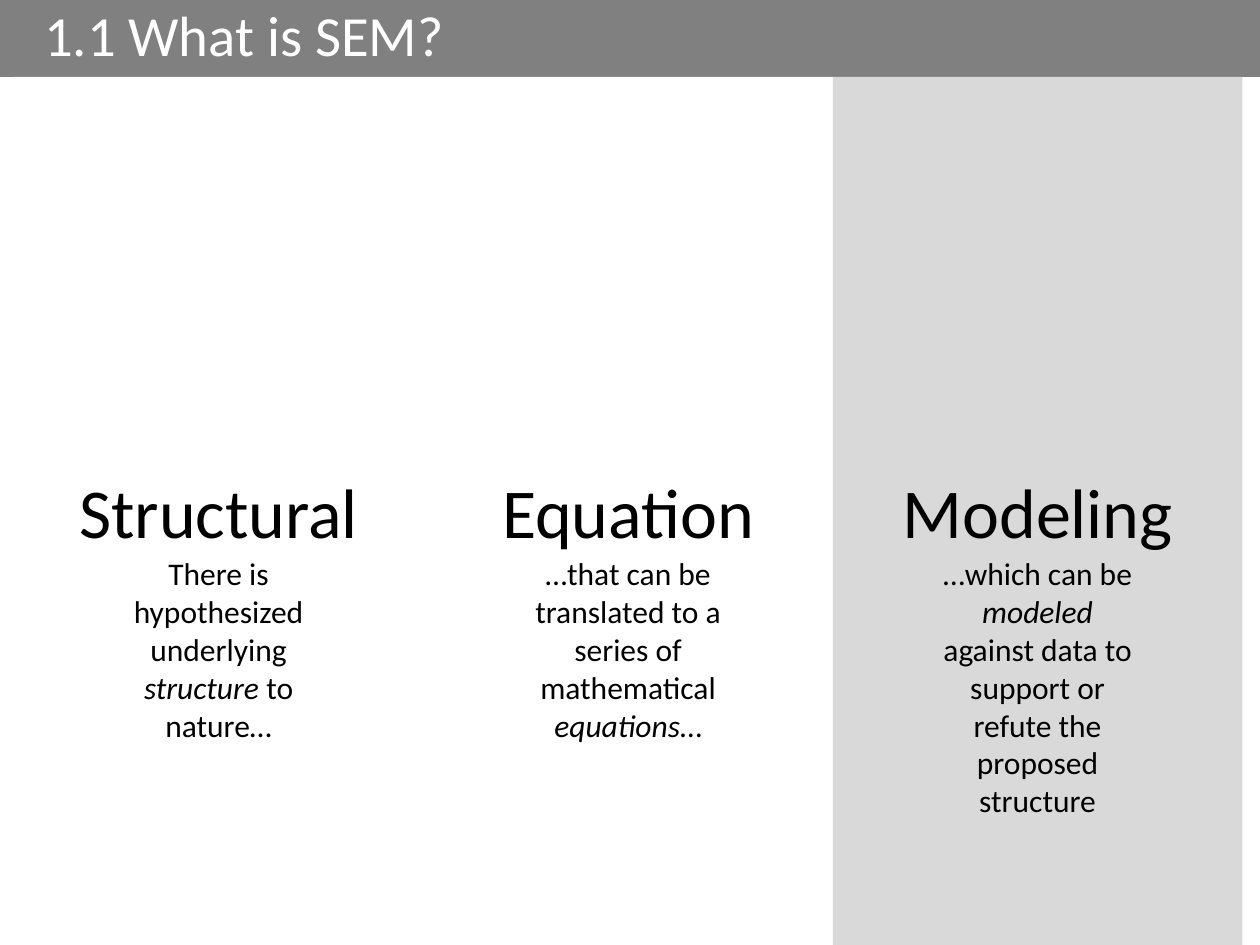
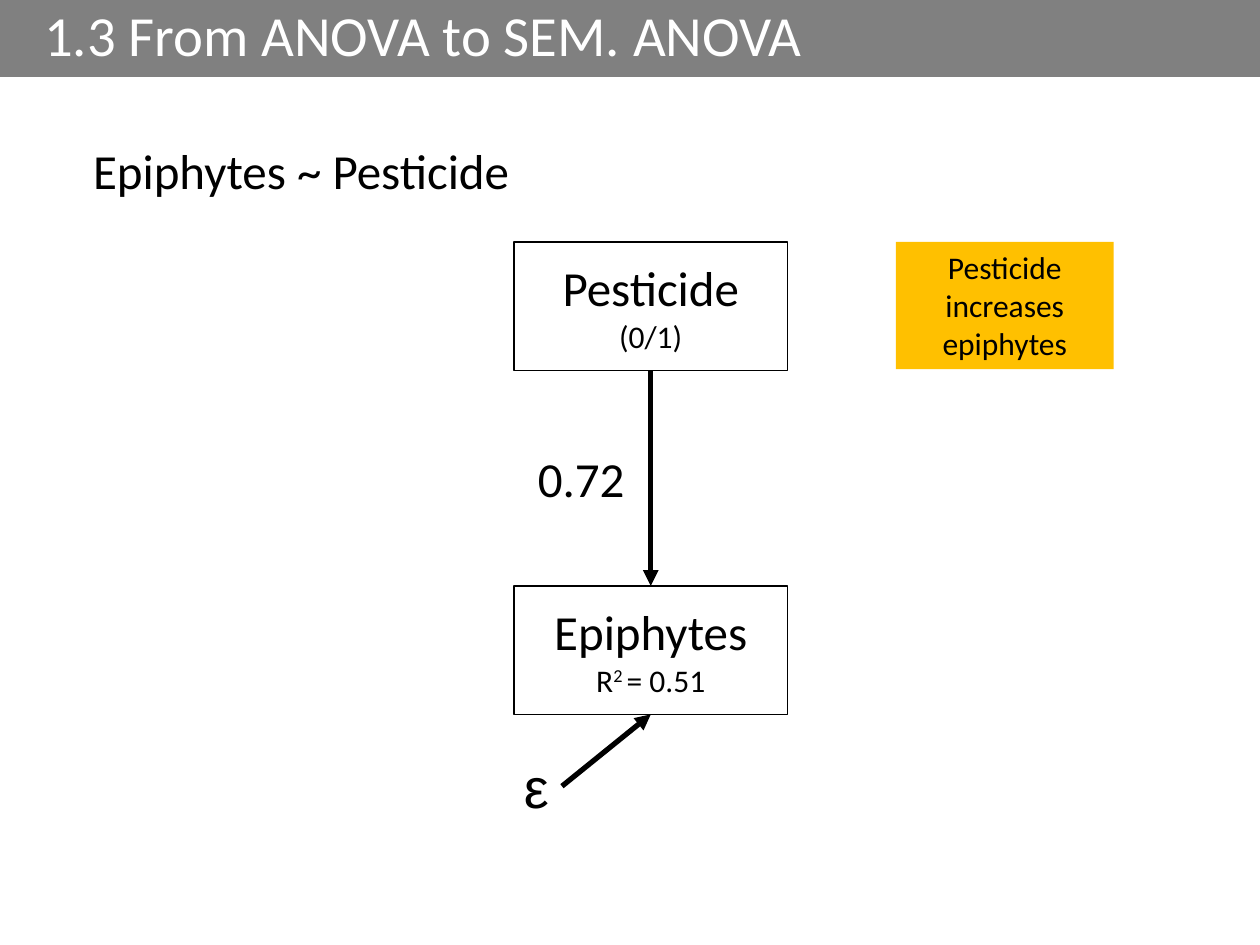
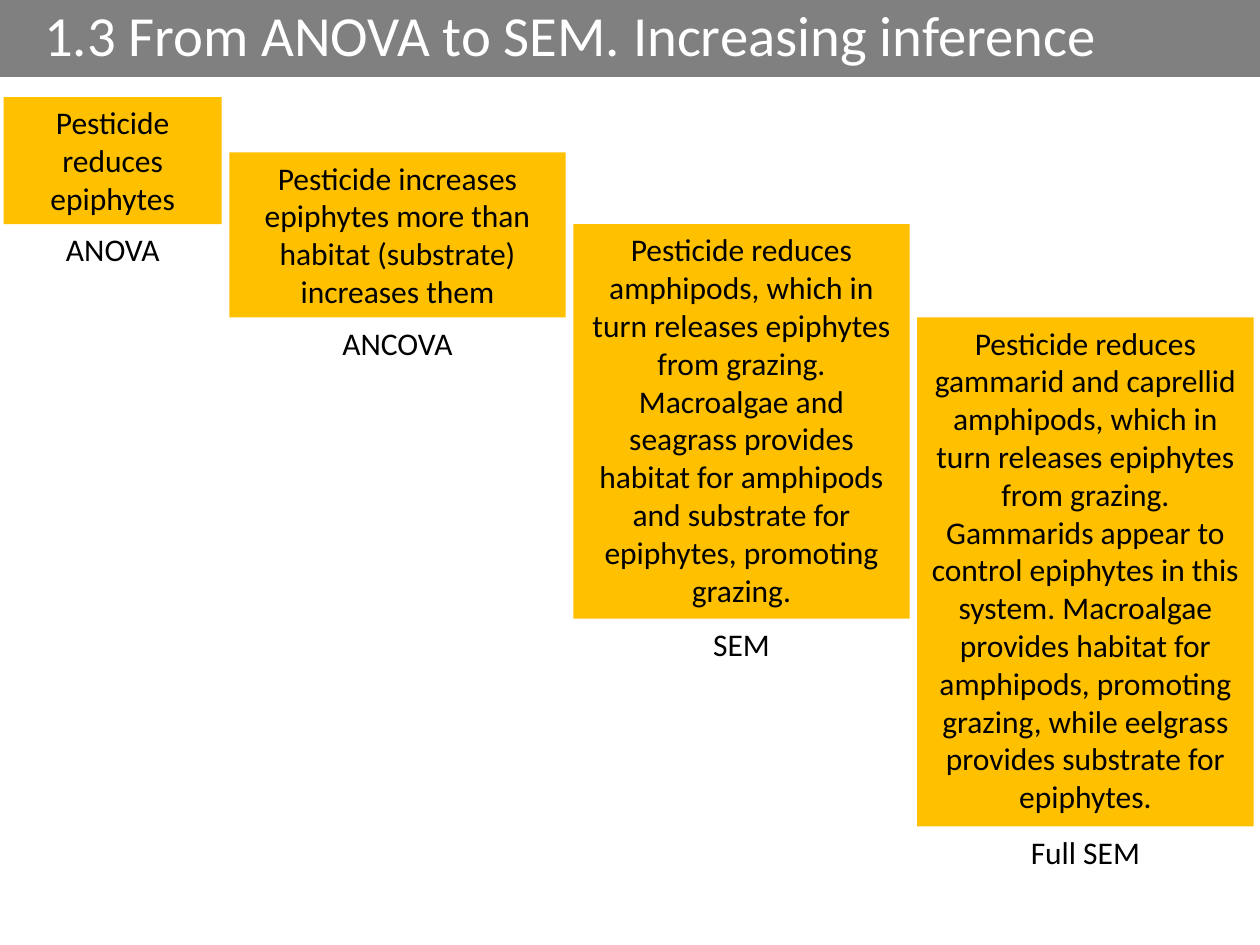
from pptx import Presentation
from pptx.dml.color import RGBColor
from pptx.enum.shapes import MSO_CONNECTOR as Connector, MSO_SHAPE as Shape
from pptx.enum.text import MSO_ANCHOR as Anchor, MSO_AUTO_SIZE as AutoSize, PP_ALIGN as Align
from pptx.oxml.ns import qn
from pptx.util import Inches, Pt
from lxml.etree import SubElement

BLACK = RGBColor(0x00, 0x00, 0x00)
WHITE = RGBColor(0xFF, 0xFF, 0xFF)
BAND_GREY = RGBColor(0x80, 0x80, 0x80)
PANEL_GREY = RGBColor(0xD9, 0xD9, 0xD9)
AMBER = RGBColor(0xFF, 0xC0, 0x00)

FONT = "Calibri"
SLIDE_W, SLIDE_H = 10, 7.5
BAND_H = 0.61
TITLE_ONLY = 5
TOP, BOTTOM, RIGHT = 0, 2, 3


# Shared parts
def style(font, size, color=BLACK, name=FONT):
    font.size, font.name = Pt(size), name
    font.color.rgb = color


def titled_slide(prs, heading):
    slide = prs.slides.add_slide(prs.slide_layouts[TITLE_ONLY])
    title = slide.shapes.title
    title.left, title.top = Inches(0), Inches(0)
    title.width, title.height = Inches(SLIDE_W), Inches(BAND_H)
    title.fill.solid()
    title.fill.fore_color.rgb = BAND_GREY
    frame = title.text_frame
    frame.text = heading
    frame.auto_size = AutoSize.NONE
    frame.vertical_anchor = Anchor.MIDDLE
    line = frame.paragraphs[0]
    line.alignment, line.line_spacing = Align.LEFT, 0.9
    line._p.get_or_add_pPr().set("marL", str(Inches(0.25)))
    style(line.runs[0].font, 32.4, WHITE)
    return slide


def fill_paragraph(paragraph, pieces, size, align=Align.CENTER, name=FONT):
    """Write (text, mark) pieces; mark is '', 'italic' or 'super'."""
    paragraph.alignment = align
    for text, mark in pieces:
        run = paragraph.add_run()
        run.text = text
        style(run.font, size, name=name)
        if mark == "italic":
            run.font.italic = True
        elif mark == "super":
            run._r.get_or_add_rPr().set("baseline", "30000")


def add_rect(slide, box, fill, outline=None, anchor=Anchor.MIDDLE):
    rect = slide.shapes.add_shape(Shape.RECTANGLE, *map(Inches, box))
    rect.shadow.inherit = False
    rect.fill.solid()
    rect.fill.fore_color.rgb = fill
    if outline is None:
        rect.line.fill.background()
    else:
        rect.line.color.rgb, rect.line.width = outline, Pt(1)
    rect.text_frame.word_wrap = True
    rect.text_frame.vertical_anchor = anchor
    return rect


def add_label(slide, box, pieces, size, align=Align.LEFT, wrap=False, name=FONT):
    label = slide.shapes.add_textbox(*map(Inches, box))
    label.text_frame.word_wrap = wrap
    fill_paragraph(label.text_frame.paragraphs[0], pieces, size, align, name)
    return label


def add_finding(slide, box, finding):
    note = add_rect(slide, box, AMBER, anchor=Anchor.TOP)
    fill_paragraph(note.text_frame.paragraphs[0], [(finding, "")], 18)


def add_arrow(slide, source, source_side, target, target_side):
    arrow = slide.shapes.add_connector(Connector.STRAIGHT, 0, 0, 0, 0)
    arrow.begin_connect(source, source_side)
    arrow.end_connect(target, target_side)
    arrow.line.color.rgb, arrow.line.width = BLACK, Pt(3)
    SubElement(arrow.line._get_or_add_ln(), qn("a:tailEnd"), type="triangle")
    SubElement(arrow._element.spPr, qn("a:effectLst"))


# Slide 1: one column per word of the acronym
def add_column(slide, box, word, fill):
    column = add_rect(slide, box, fill)
    fill_paragraph(column.text_frame.paragraphs[0], [(word, "")], 40)


def add_meaning(slide, box, meaning, height):
    left, top, width, _ = box
    text_w = 1.85
    text_box = (left + (width - text_w) / 2, top + 3.74, text_w, height)
    add_label(slide, text_box, meaning, 18, Align.CENTER, wrap=True)


def build_definition(prs):
    slide = titled_slide(prs, "1.1 What is SEM?")
    columns = [
        ("Structural", WHITE, 1.62,
         [("There is hypothesized underlying ", ""), ("structure", "italic"), (" to nature…", "")]),
        ("Equation", WHITE, 1.62,
         [("…that can be translated to a series of mathematical ", ""),
          ("equations", "italic"), ("…", "")]),
        ("Modeling", PANEL_GREY, 2.22,
         [("…which can be ", ""), ("modeled", "italic"),
          (" against data to support or refute the proposed structure", "")]),
    ]
    width = 3.25
    boxes = [(0.11 + i * width, BAND_H, width, SLIDE_H - BAND_H) for i in range(len(columns))]
    for box, (word, fill, _, _) in zip(boxes, columns):
        add_column(slide, box, word, fill)
    for box, (_, _, height, meaning) in zip(boxes, columns):
        add_meaning(slide, box, meaning, height)


# Slide 2: path diagram
def add_variable(slide, box, variable, detail):
    node = add_rect(slide, box, WHITE, BLACK)
    fill_paragraph(node.text_frame.paragraphs[0], [(variable, "")], 28)
    fill_paragraph(node.text_frame.add_paragraph(), detail, 18)
    return node


def add_path_diagram(slide, box):
    left, top, width, height = box
    node_h = 1.02
    bottom_top = top + height - node_h
    pesticide = add_variable(slide, (left, top, width, node_h), "Pesticide", [("(0/1)", "")])
    epiphytes = add_variable(slide, (left, bottom_top, width, node_h), "Epiphytes",
                             [("R", ""), ("2 ", "super"), ("= 0.51", "")])
    add_arrow(slide, pesticide, BOTTOM, epiphytes, TOP)
    add_label(slide, (left + 0.09, top + 1.59, 0.9, 0.57), [("0.72", "")], 28)
    error = add_label(slide, (left - 0.02, top + height + 0.25, 0.4, 0.64),
                      [("ε", "")], 32, name="Arial")
    add_arrow(slide, error, RIGHT, epiphytes, BOTTOM)


def build_anova(prs):
    slide = titled_slide(prs, "1.3 From ANOVA to SEM. ANOVA")
    add_path_diagram(slide, (4.08, 1.92, 2.17, 3.75))
    add_label(slide, (0.64, 1.07, 3.54, 0.57), [("Epiphytes ~ Pesticide", "")], 28)
    add_finding(slide, (7.11, 1.92, 1.73, 1.01), "Pesticide increases epiphytes")


# Slide 3: staircase of findings, each with its method below
def add_step(slide, box, finding, method, method_w):
    left, top, width, height = box
    add_finding(slide, box, finding)
    method_box = (left + (width - method_w) / 2, top + height, method_w, 0.4)
    add_label(slide, method_box, [(method, "")], 18, Align.CENTER)


def build_inference(prs):
    slide = titled_slide(prs, "1.3 From ANOVA to SEM. Increasing inference")
    steps = [
        (0.77, 1.73, 1.01, "ANOVA", 0.95, "Pesticide reduces epiphytes"),
        (1.21, 2.67, 1.31, "ANCOVA", 1.08,
         "Pesticide increases epiphytes more than habitat (substrate) increases them"),
        (1.78, 2.67, 3.13, "SEM", 0.66,
         "Pesticide reduces amphipods, which in turn releases epiphytes from grazing. "
         "Macroalgae and seagrass provides habitat for amphipods and substrate for "
         "epiphytes, promoting grazing."),
        (2.52, 2.67, 4.04, "Full SEM", 1.08,
         "Pesticide reduces gammarid and caprellid amphipods, which in turn releases "
         "epiphytes from grazing. Gammarids appear to control epiphytes in this system. "
         "Macroalgae provides habitat for amphipods, promoting grazing, while eelgrass "
         "provides substrate for epiphytes."),
    ]
    left, gap = 0.03, 0.06
    for top, width, height, method, method_w, finding in steps:
        add_step(slide, (left, top, width, height), finding, method, method_w)
        left += width + gap


def main():
    prs = Presentation()
    prs.slide_width, prs.slide_height = Inches(SLIDE_W), Inches(SLIDE_H)
    build_definition(prs)
    build_anova(prs)
    build_inference(prs)
    prs.save("out.pptx")


if __name__ == "__main__":
    main()
